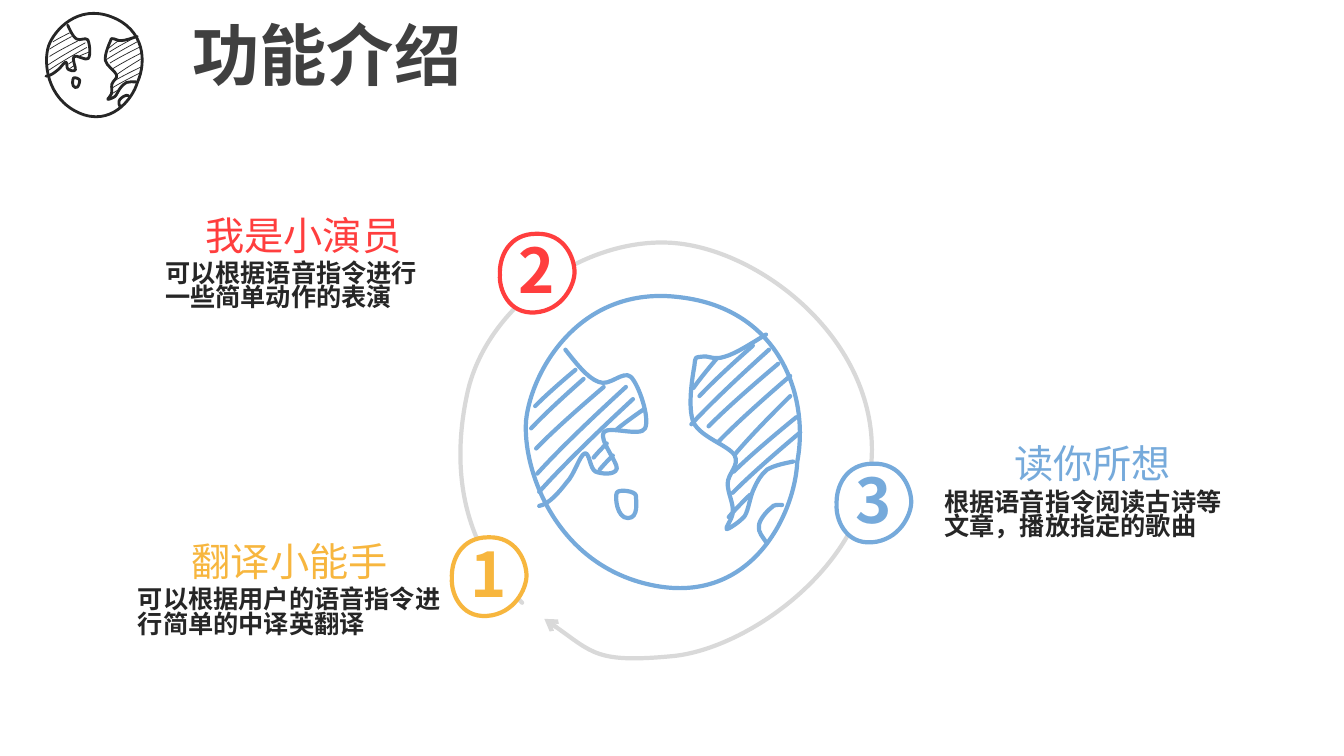
from dataclasses import dataclass
from math import cos, radians, sin

from lxml.etree import SubElement
from pptx import Presentation
from pptx.dml.color import RGBColor
from pptx.enum.text import MSO_ANCHOR as Anchor, MSO_AUTO_SIZE as AutoSize, PP_ALIGN as Align
from pptx.oxml import parse_xml
from pptx.oxml.ns import nsdecls, qn
from pptx.util import Pt


@dataclass(frozen=True)
class Theme:
    ink: str = "262626"
    title: str = "404040"
    blue: str = "76AADB"
    red: str = "FF3E3E"
    gold: str = "F7B63E"
    orbit: str = "D9D9D9"
    paper: str = "FFFFFF"
    font: str = "Noto Sans CJK SC"
    number_font: str = "Noto Sans CJK JP"
    title_size: int = 48
    number_size: int = 44
    heading_size: int = 28
    body_size: int = 18


theme = Theme()
DRAWING_SCALE = 0.72  # points per drawing unit
HEADER_SCALE = 0.252

# Outlines are chains of Bezier points in drawing units; True means closed.
GLOBE_CENTRE = (657, 437)
GLOBE_OUTLINES = [
    ([(522, 417), (527, 369), (575, 282), (675, 295), (775, 307), (803, 395), (791, 458),
      (789, 508), (747, 600), (649, 581), (551, 562), (518, 465), (522, 417)], True),
    ([(561, 347), (572, 361), (583, 375), (594, 379), (605, 384), (618, 367), (626, 374),
      (634, 382), (645, 415), (640, 425), (636, 434), (604, 422), (599, 429),
      (594, 436), (613, 459), (612, 465), (610, 472), (596, 470), (591, 468),
      (585, 465), (585, 448), (580, 450), (575, 452), (570, 471), (562, 479),
      (555, 488), (545, 500), (535, 502)], False),
    ([(612, 489), (613, 485), (631, 487), (631, 492), (631, 497), (634, 514), (623, 514),
      (612, 514), (610, 493), (612, 489)], True),
    ([(760, 332), (745, 341), (730, 351), (719, 354), (708, 358), (701, 352), (696, 354),
      (690, 355), (690, 353), (689, 363), (687, 374), (682, 404), (688, 419),
      (695, 434), (723, 442), (729, 452), (734, 462), (722, 470), (722, 480),
      (722, 489), (728, 500), (727, 508), (727, 515), (719, 524), (721, 525),
      (723, 525), (734, 518), (739, 512), (743, 505), (744, 493), (748, 485),
      (751, 478), (755, 471), (761, 466), (768, 462), (777, 460), (787, 458)], False),
    ([(776, 501), (772, 501), (768, 500), (765, 504), (761, 507), (753, 516), (753, 522),
      (752, 528), (757, 533), (761, 539)], False),
]
# Each hatch stroke: start x, start y, end x, end y.
HATCHES = [
    (728, 468, 790, 414), (686, 421, 763, 347), (531, 403, 571, 367),
    (729, 451, 784, 393), (535, 488, 628, 396), (713, 438, 784, 373),
    (703, 423, 772, 361), (694, 393, 747, 343), (612, 426, 639, 406),
    (532, 445, 599, 384), (727, 489, 794, 429), (723, 513, 744, 491),
    (688, 385, 711, 356), (527, 425, 579, 376), (533, 470, 621, 384),
    (589, 454, 602, 440), (595, 466, 608, 452),
]
# Position along a hatch stroke (share of width, share of height).
HATCH_STEPS = [(0, 0), (0.145, 0.165), (0.45, 0.485), (1, 1)]
ORBIT = [(518, 598), (470, 553), (444, 484), (463, 393), (481, 303), (581, 235), (667, 241),
         (752, 247), (865, 333), (865, 446), (865, 559), (742, 644), (667, 651),
         (592, 658), (587, 646), (540, 614)]
BADGE = [(74, 38), (74, 24), (64, -1), (36, 0), (9, 0), (-1, 23), (0, 41),
         (-1, 54), (8, 80), (35, 78), (62, 76), (74, 51), (74, 38)]

# Number, colour, badge corner, text box (left, top, width), heading, body
FEATURES = [
    ("2", theme.red, (357.1, 167), (110.9, 153.4, 211.7),
     "我是小演员", "可以根据语音指令进行一些简单动作的表演"),
    ("1", theme.gold, (322.8, 383.8), (91.4, 386.6, 231),
     "翻译小能手", "可以根据用户的语音指令进行简单的中译英翻译"),
    ("3", theme.blue, (597.6, 331.2), (667.4, 316.8, 226.1),
     "读你所想", "根据语音指令阅读古诗等文章，播放指定的歌曲"),
]

deck = Presentation()
deck.slide_width, deck.slide_height = Pt(960), Pt(540)
page = deck.slides.add_slide(deck.slide_layouts[5])


def draw_curve(points, place, colour, width, closed=False):
    """Draw a Bezier chain; place is (origin, target in points, scale, turn in degrees)."""
    origin, target, scale, turn = place
    spin = scale * complex(cos(radians(turn)), sin(radians(turn)))
    spots = [complex(*target) + spin * (complex(*point) - complex(*origin)) for point in points]
    start, *rest = [(Pt(spot.real), Pt(spot.imag)) for spot in spots]
    builder = page.shapes.build_freeform(*start)
    builder.add_line_segments(rest, close=closed)
    shape = builder.convert_to_shape()
    outline = shape.element.find(".//" + qn("a:path"))
    segments = outline.findall(qn("a:lnTo"))
    for first in range(0, len(segments), 3):
        curve = parse_xml(f"<a:cubicBezTo {nsdecls('a')}/>")
        segments[first].addprevious(curve)
        for segment in segments[first:first + 3]:
            curve.append(segment[0])
            outline.remove(segment)
    shape.shadow.inherit = False
    shape.fill.background()
    shape.line.color.rgb = RGBColor.from_string(colour)
    shape.line.width = Pt(width)
    shape.element.spPr.find(qn("a:ln")).set("cap", "rnd")
    return shape


def format_para(para, size, colour, bold, align, spacing, font=theme.font):
    para.alignment = align
    para.line_spacing = spacing
    para.space_before = Pt(0.2 * size)
    for span in para.runs:
        span.font.size = Pt(size)
        span.font.bold = bold
        span.font.name = font
        span.font.color.rgb = RGBColor.from_string(colour)
        SubElement(span.font._element, qn("a:ea")).set("typeface", font)


# Title
title = page.shapes.title
title.left, title.top, title.width, title.height = Pt(130.3), Pt(9.4), Pt(209.5), Pt(65.5)
frame = title.text_frame
frame.text = "功能介绍"
frame.word_wrap = False
frame.auto_size = AutoSize.NONE
frame.vertical_anchor = Anchor.MIDDLE
format_para(frame.paragraphs[0], theme.title_size, theme.title, True, Align.LEFT, 0.9)
frame.paragraphs[0].space_before = Pt(0)

# Header globe and main globe
for target, scale, turn, colour, width, hatch_width in [
    ((66.6, 45.7), HEADER_SCALE, 13.6, theme.ink, 2, 0.5),
    ((473, 314.6), DRAWING_SCALE, 0, theme.blue, 3, 3),
]:
    place = (GLOBE_CENTRE, target, scale, turn)
    for points, closed in GLOBE_OUTLINES:
        draw_curve(points, place, colour, width, closed)
    for x1, y1, x2, y2 in HATCHES:
        stroke = [(x1 + u * (x2 - x1), y1 + v * (y2 - y1)) for u, v in HATCH_STEPS]
        draw_curve(stroke, place, colour, hatch_width)

# Orbit arrow
orbit = draw_curve(ORBIT, ((0, 0), (0, 0), DRAWING_SCALE, 0), theme.orbit, 3)
SubElement(orbit.element.spPr.find(qn("a:ln")), qn("a:tailEnd")).set("type", "arrow")

# Numbered features
for number, colour, corner, (left, top, width), heading, body in FEATURES:
    badge = draw_curve(BADGE, ((0, 0), corner, DRAWING_SCALE, 0), colour, 3, True)
    badge.fill.solid()
    badge.fill.fore_color.rgb = RGBColor.from_string(theme.paper)
    frame = badge.text_frame
    frame.margin_left = frame.margin_right = frame.margin_top = frame.margin_bottom = 0
    frame.vertical_anchor = Anchor.MIDDLE
    frame.text = number
    format_para(frame.paragraphs[0], theme.number_size, colour, True, Align.CENTER, 0.9,
                theme.number_font)
    frame.paragraphs[0].space_before = Pt(0)

    box = page.shapes.add_textbox(Pt(left), Pt(top), Pt(width), Pt(89.3))
    frame = box.text_frame
    frame.word_wrap = True
    frame.text = heading
    format_para(frame.paragraphs[0], theme.heading_size, colour, False, Align.CENTER, 0.81)
    frame.paragraphs[0].space_before = Pt(0)
    para = frame.add_paragraph()
    para.text = body
    format_para(para, theme.body_size, theme.ink, True, Align.LEFT, 0.81)

deck.save("out.pptx")
